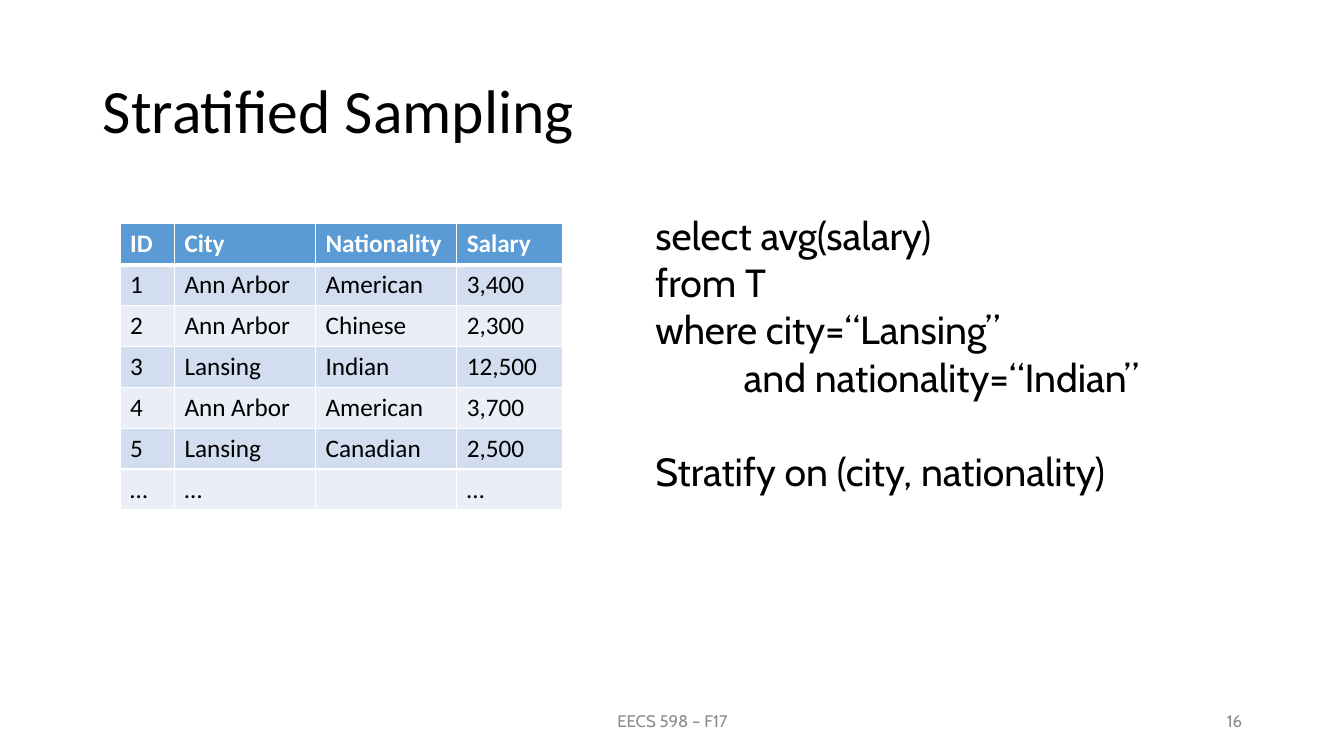
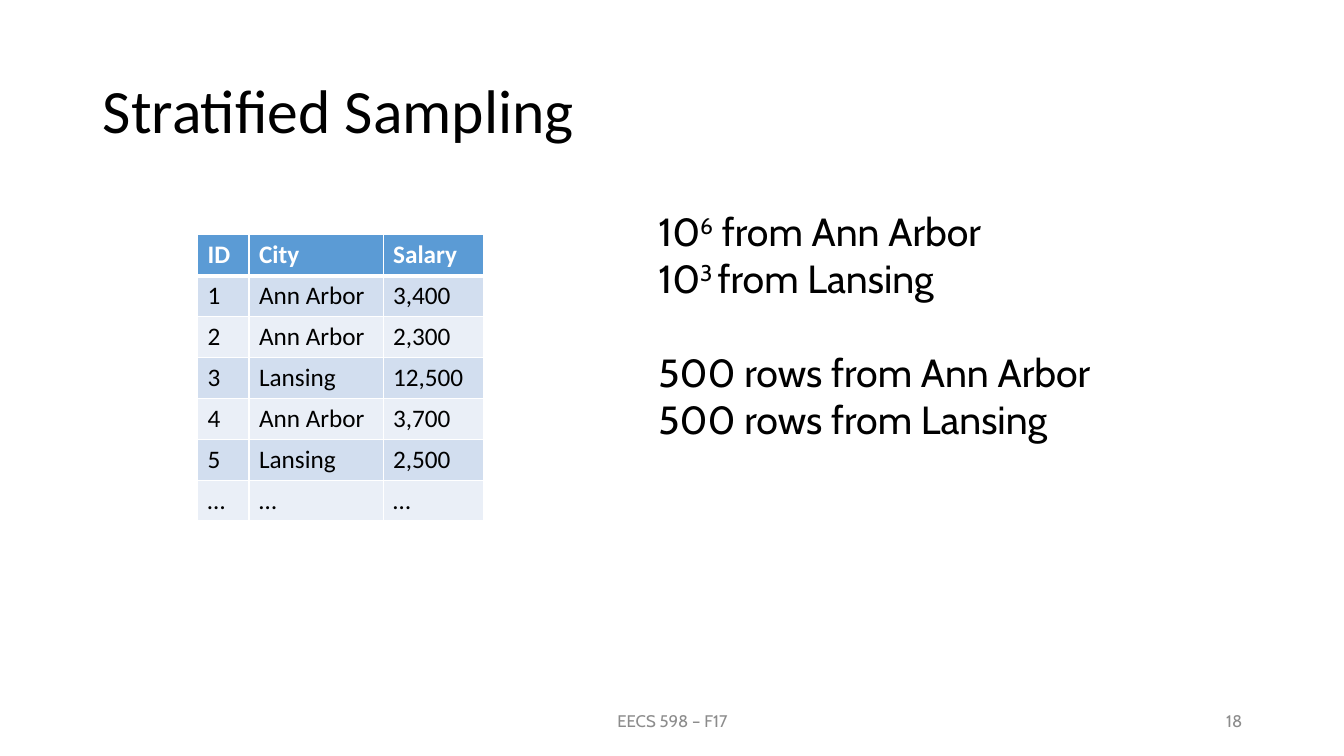
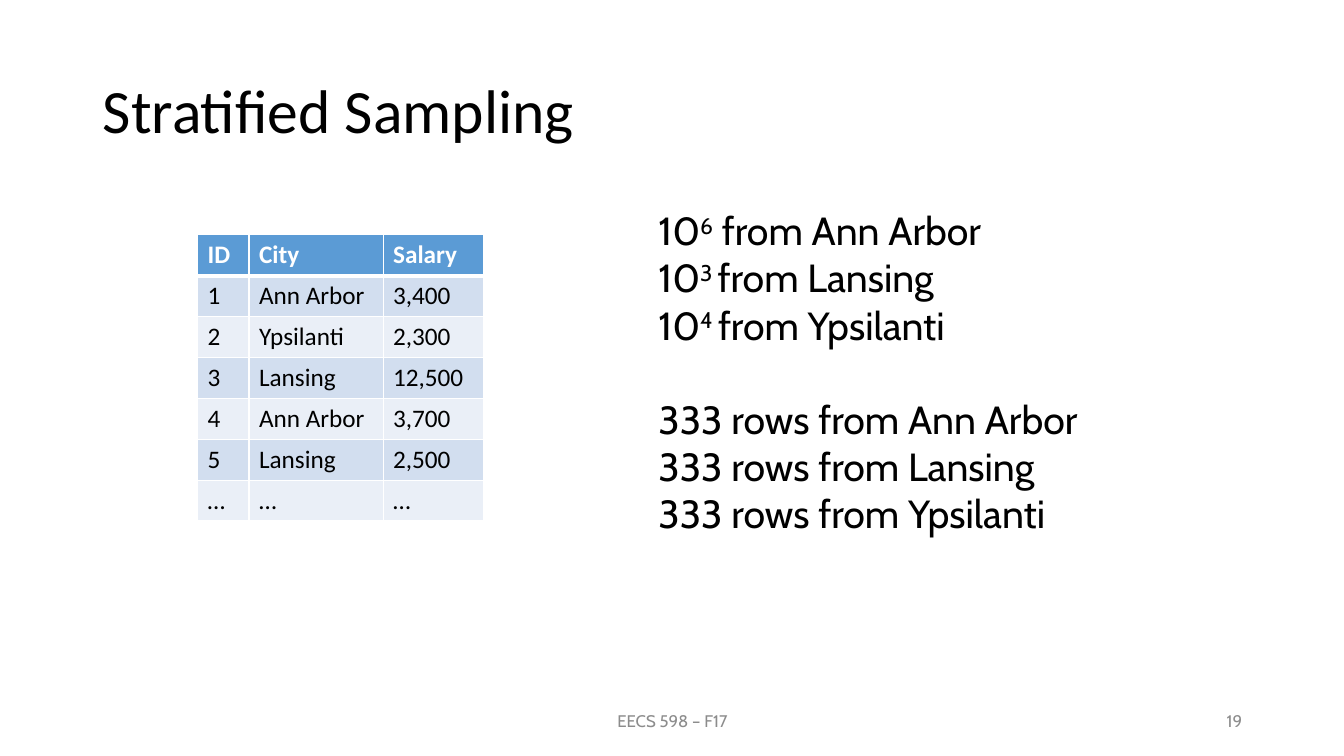
"""Build three slides on stratified sampling, each with a sample table and notes beside it."""
from dataclasses import dataclass

from lxml.etree import SubElement
from pptx import Presentation
from pptx.dml.color import RGBColor
from pptx.enum.text import MSO_ANCHOR, MSO_AUTO_SIZE, PP_ALIGN
from pptx.oxml.ns import qn
from pptx.util import Inches, Pt


@dataclass(frozen=True)
class Theme:
    heading_font: str = "Calibri"
    body_font: str = "Cabin"
    title_size: int = 44
    body_size: int = 28
    table_size: int = 18
    footer_size: int = 12
    block_gap: float = 33.6
    ink: str = "000000"
    muted: str = "8C8C8C"
    white: str = "FFFFFF"
    header_fill: str = "5B9BD5"
    odd_fill: str = "D2DEEF"
    even_fill: str = "EAEFF7"


theme = Theme()


def write(frame, blocks, *, size, font=theme.body_font, color=theme.ink, bold=False,
          alignment=PP_ALIGN.LEFT, line_spacing=1.0, anchor=MSO_ANCHOR.MIDDLE):
    """Write blocks of lines, with a gap between blocks and superscripts between ^ marks."""
    frame.word_wrap = True
    frame.auto_size = MSO_AUTO_SIZE.NONE
    frame.vertical_anchor = anchor
    for block_index, block in enumerate(blocks):
        for line_index, line in enumerate(block):
            is_first = block_index == line_index == 0
            paragraph = frame.paragraphs[0] if is_first else frame.add_paragraph()
            properties = paragraph._p.get_or_add_pPr()
            properties.set("marL", "0")
            properties.set("indent", "0")
            SubElement(properties, qn("a:buNone"))
            paragraph.alignment = alignment
            paragraph.line_spacing = line_spacing
            starts_block = block_index > 0 and line_index == 0
            paragraph.space_before = Pt(theme.block_gap if starts_block else 0)
            for part_index, part in enumerate(line.split("^")):
                run = paragraph.add_run()
                run.text = part
                run.font.name = font
                run.font.size = Pt(size)
                run.font.bold = bold
                run.font.color.rgb = RGBColor.from_string(color)
                if part_index % 2:
                    run._r.get_or_add_rPr().set("baseline", "30000")


def add_border(cell, side, width):
    """Draw one white cell border of the given width in points."""
    line = SubElement(cell._tc.get_or_add_tcPr(), qn(f"a:{side}"), w=str(Pt(width)))
    fill = SubElement(line, qn("a:solidFill"))
    SubElement(fill, qn("a:srgbClr"), val=theme.white)


salaries = ["3,400", "2,300", "12,500", "3,700", "2,500", "…"]
cities = ["Ann Arbor", "Ann Arbor", "Lansing", "Ann Arbor", "Lansing", "…"]
cities_with_ypsilanti = ["Ann Arbor", "Ypsilanti", *cities[2:]]
nationalities = ["American", "Chinese", "Indian", "American", "Canadian", ""]
identifiers = ["1", "2", "3", "4", "5", "…"]

slides = [
    {
        "number": "16",
        "body": (6.4, 1.12, 5.72, 4.76),
        "blocks": [
            ["select avg(salary)", "from T", "where city=“Lansing”",
             "          and nationality=“Indian”"],
            ["Stratify on (city, nationality)"],
        ],
        "table_at": (1.19, 2.22),
        "columns": [("ID", 0.54, identifiers), ("City", 1.4, cities),
                    ("Nationality", 1.4, nationalities), ("Salary", 1.05, salaries)],
    },
    {
        "number": "18",
        "body": (6.43, 0.84, 5.72, 4.76),
        "blocks": [
            ["10^6^ from Ann Arbor", "10^3 ^from Lansing"],
            ["500 rows from Ann Arbor", "500 rows from Lansing"],
        ],
        "table_at": (1.96, 2.33),
        "columns": [("ID", 0.51, identifiers), ("City", 1.33, cities),
                    ("Salary", 1, salaries)],
    },
    {
        "number": "19",
        "body": (6.43, 0.91, 5.72, 5.55),
        "blocks": [
            ["10^6^ from Ann Arbor", "10^3 ^from Lansing", "10^4 ^from Ypsilanti"],
            ["333 rows from Ann Arbor", "333 rows from Lansing", "333 rows from Ypsilanti"],
        ],
        "table_at": (1.96, 2.33),
        "columns": [("ID", 0.51, identifiers), ("City", 1.33, cities_with_ypsilanti),
                    ("Salary", 1, salaries)],
    },
]

presentation = Presentation()
presentation.slide_width = Inches(13.33)
presentation.slide_height = Inches(7.5)
layout = presentation.slide_layouts[1]
layout_title = layout.placeholders[0]
layout_title.left, layout_title.top = Inches(0.92), Inches(0.4)
layout_title.width, layout_title.height = Inches(11.5), Inches(1.45)
row_height = Inches(2.84 / 7)

for content in slides:
    slide = presentation.slides.add_slide(layout)
    write(slide.shapes.title.text_frame, [["Stratified Sampling"]], size=theme.title_size,
          font=theme.heading_font, line_spacing=0.9)

    body = slide.placeholders[1]
    body.left, body.top, body.width, body.height = map(Inches, content["body"])
    write(body.text_frame, content["blocks"], size=theme.body_size)

    for text, left, width, alignment in [
        ("EECS 598 – F17", 4.42, 4.5, PP_ALIGN.CENTER),
        (content["number"], 9.42, 3, PP_ALIGN.RIGHT),
    ]:
        footer = slide.shapes.add_textbox(Inches(left), Inches(6.95), Inches(width), Inches(0.4))
        write(footer.text_frame, [[text]], size=theme.footer_size, color=theme.muted,
              alignment=alignment)

    columns = content["columns"]
    row_count = len(identifiers) + 1
    left, top = map(Inches, content["table_at"])
    table_width = Inches(sum(width for _, width, _ in columns))
    table = slide.shapes.add_table(row_count, len(columns), left, top, table_width,
                                   row_height * row_count).table
    for column_index, (heading, width, values) in enumerate(columns):
        table.columns[column_index].width = Inches(width)
        for row_index, text in enumerate([heading, *values]):
            cell = table.cell(row_index, column_index)
            is_header = row_index == 0
            add_border(cell, "lnL", 1)
            add_border(cell, "lnR", 1)
            add_border(cell, "lnT", 3 if row_index == 1 else 1)
            add_border(cell, "lnB", 3 if is_header else 1)
            band = theme.odd_fill if row_index % 2 else theme.even_fill
            cell.fill.solid()
            cell.fill.fore_color.rgb = RGBColor.from_string(
                theme.header_fill if is_header else band)
            write(cell.text_frame, [[text]], size=theme.table_size, font=theme.heading_font,
                  color=theme.white if is_header else theme.ink, bold=is_header,
                  anchor=MSO_ANCHOR.TOP)

presentation.save("out.pptx")
